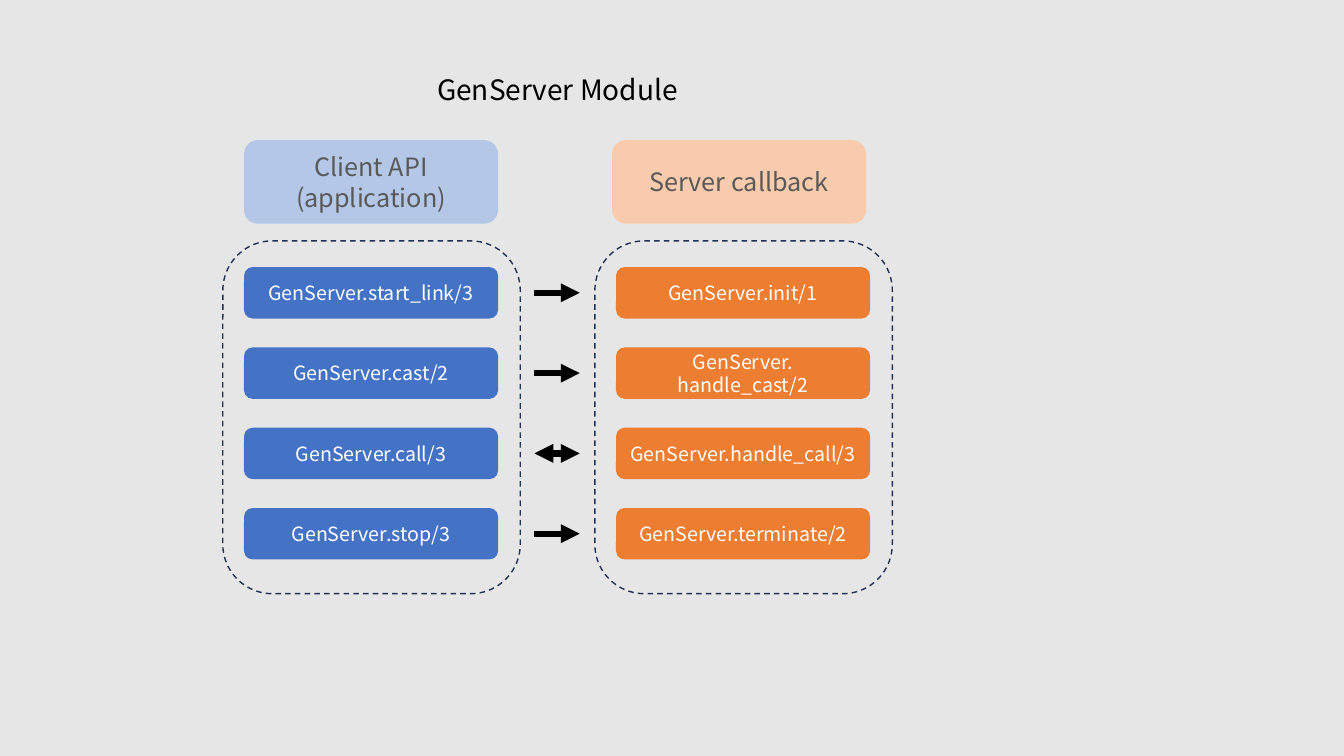
from lxml import etree
from pptx import Presentation
from pptx.dml.color import RGBColor
from pptx.enum.dml import MSO_LINE
from pptx.enum.shapes import MSO_CONNECTOR, MSO_SHAPE
from pptx.enum.text import MSO_ANCHOR, PP_ALIGN
from pptx.oxml.ns import qn
from pptx.util import Inches, Pt

FONT = "Noto Sans CJK KR"
COLORS = {
    "background": "E7E6E6",
    "client": "4472C4",
    "server": "ED7D31",
    "client_header": "B4C7E7",
    "server_header": "F8CBAD",
    "header_text": "595959",
    "frame": "1E3256",
    "white": "FFFFFF",
    "black": "000000",
}


def rgb(name):
    return RGBColor.from_string(COLORS[name])


def add_box(box, fill=None, lines=(), size=14, color="white", text_only=False):
    box = [Inches(v) for v in box]
    if text_only:
        sp = slide.shapes.add_textbox(*box)
    else:
        sp = slide.shapes.add_shape(MSO_SHAPE.ROUNDED_RECTANGLE, *box)
        sp.shadow.inherit = False
        sp.line.fill.background()
        if fill:
            sp.fill.solid()
            sp.fill.fore_color.rgb = rgb(fill)
        else:
            sp.fill.background()
    tf = sp.text_frame
    tf.word_wrap = True
    tf.vertical_anchor = MSO_ANCHOR.MIDDLE
    for i, line in enumerate(lines):
        p = tf.add_paragraph() if i else tf.paragraphs[0]
        p.alignment = PP_ALIGN.CENTER
        r = p.add_run()
        r.text = line
        for key, value in {"name": FONT, "size": Pt(size)}.items():
            setattr(r.font, key, value)
        r.font.color.rgb = rgb(color)
    return sp


prs = Presentation()
prs.slide_width = Inches(13.33)
prs.slide_height = Inches(7.5)
slide = prs.slides.add_slide(prs.slide_layouts[6])
slide.background.fill.solid()
slide.background.fill.fore_color.rgb = rgb("background")

# Rows: client call, server callback, arrowheads
CLIENT_X, SERVER_X, BOX_W, BOX_H = 2.42, 6.11, 2.52, 0.51
ROW_TOP, ROW_PITCH = 2.65, 2.39 / 3
rows = [
    ("GenServer.start_link/3", "GenServer.init/1", ["tailEnd"]),
    ("GenServer.cast/2", "GenServer. handle_cast/2", ["tailEnd"]),
    ("GenServer.call/3", "GenServer.handle_call/3", ["headEnd", "tailEnd"]),
    ("GenServer.stop/3", "GenServer.terminate/2", ["tailEnd"]),
]
for i, (call, callback, heads) in enumerate(rows):
    top = ROW_TOP + i * ROW_PITCH
    add_box((CLIENT_X, top, BOX_W, BOX_H), "client", [call])
    add_box((SERVER_X, top, BOX_W, BOX_H), "server", [callback])

    y = Inches(top + BOX_H / 2)
    arrow = slide.shapes.add_connector(
        MSO_CONNECTOR.STRAIGHT, Inches(5.3), y, Inches(5.75), y)
    arrow.line.color.rgb = rgb("black")
    arrow.line.width = Pt(4.5)
    ln = arrow.line._get_or_add_ln()
    for head in heads:
        etree.SubElement(ln, qn("a:" + head), type="triangle")
    etree.SubElement(arrow._element.spPr, qn("a:effectLst"))

# Dashed frames around both columns
for x in (5.9, 2.21):
    frame = add_box((x, 2.39, 2.95, 3.5))
    frame.line.color.rgb = rgb("frame")
    frame.line.width = Pt(1)
    frame.line.dash_style = MSO_LINE.DASH

# Column headers
headers = [
    (CLIENT_X, "client_header", ["Client API", "(application)"]),
    (6.07, "server_header", ["Server callback"]),
]
for x, fill, lines in headers:
    add_box((x, 1.39, BOX_W, 0.83), fill, lines, 18, "header_text")

# Title
add_box((4.01, 0.67, 3.04, 0.44), lines=["GenServer Module"], size=20,
        color="black", text_only=True)

prs.save("out.pptx")
